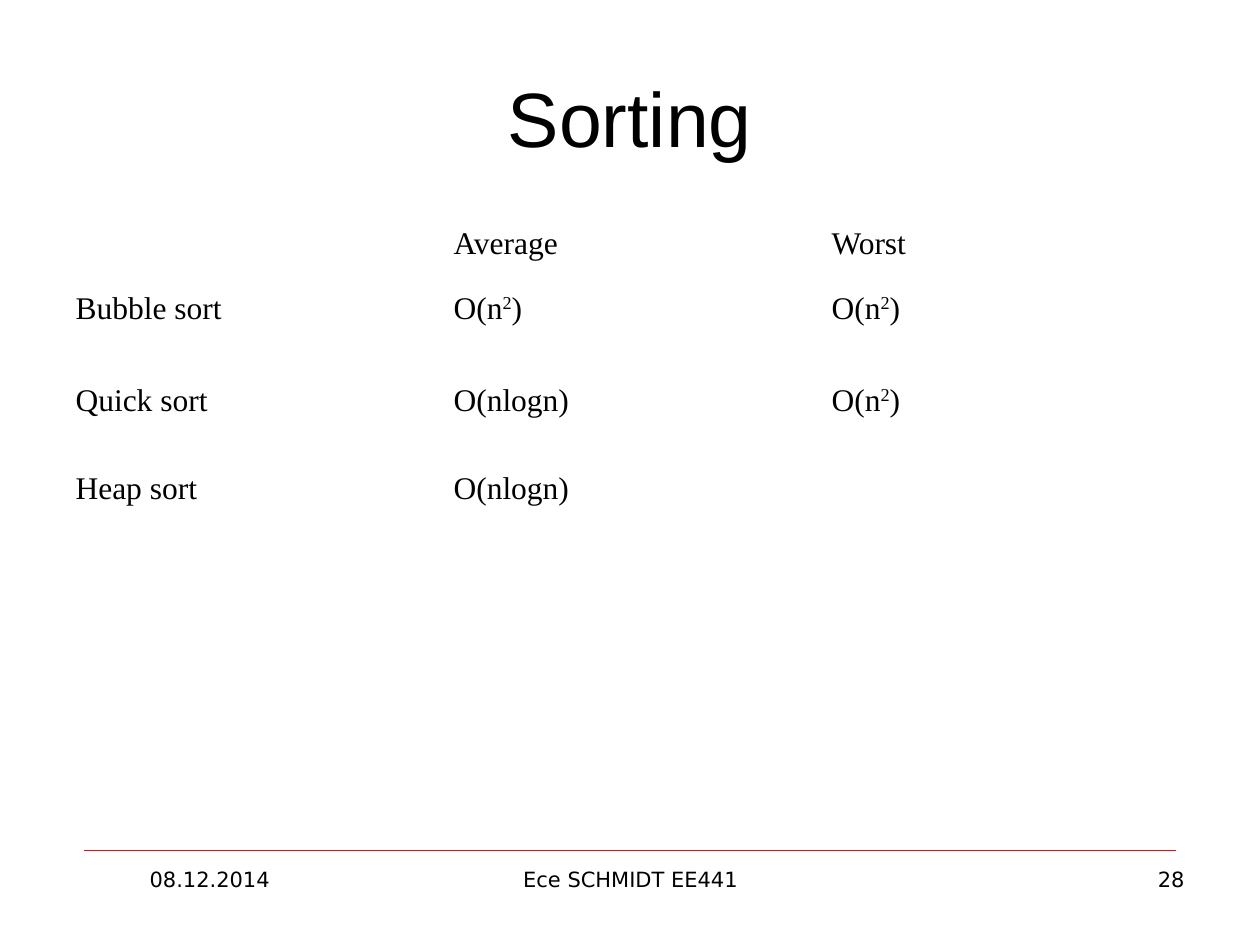
from lxml import etree
from pptx import Presentation
from pptx.dml.color import RGBColor
from pptx.enum.shapes import MSO_CONNECTOR
from pptx.enum.text import MSO_ANCHOR, PP_ALIGN
from pptx.oxml.ns import qn
from pptx.util import Inches, Pt

STRAIGHT = MSO_CONNECTOR.STRAIGHT
MIDDLE = MSO_ANCHOR.MIDDLE
CENTER, RIGHT = PP_ALIGN.CENTER, PP_ALIGN.RIGHT

TITLE = "Sorting"
# "^" stands before and after a superscript
COMPLEXITIES = [
    ("", "Average", "Worst"),
    ("Bubble sort", "O(n^2^)", "O(n^2^)"),
    ("Quick sort", "O(nlogn)", "O(n^2^)"),
    ("Heap sort", "O(nlogn)", ""),
]
ROW_HEIGHTS = [0.51, 0.73, 0.7, 0.63]
# text, left, width, alignment
FOOTERS = [
    ("08.12.2014", 0.5, 2.33, CENTER),
    ("Ece SCHMIDT EE441", 3.42, 3.17, CENTER),
    ("28", 7.17, 2.33, RIGHT),
]

COLORS = {"text": "000000", "rule": "FF0000"}
FORMATS = {
    "title": {"size": Pt(44), "name": "Arial"},
    "table": {"size": Pt(18), "name": "Times New Roman"},
    "footer": {"size": Pt(12), "name": "DejaVu Sans"},
}
WIDTH, HEIGHT, MARGIN = 10, 7.5, 0.5
CONTENT_WIDTH = WIDTH - 2 * MARGIN
TABLE_TOP, RULE_TOP, FOOTER_TOP = 1.75, 6.75, 6.83
RULE_INSET = WIDTH / 15


def write(frame, text, style, align=None):
    """Fill a text frame with one formatted paragraph."""
    para = frame.paragraphs[0]
    para.alignment = align
    for index, part in enumerate(text.split("^")):
        if not part:
            continue
        span = para.add_run()
        span.text = part
        for key, value in FORMATS[style].items():
            setattr(span.font, key, value)
        span.font.color.rgb = RGBColor.from_string(COLORS["text"])
        if index % 2:
            span.font._element.set("baseline", "30000")


def add_title(page):
    """Place and format the title placeholder."""
    title = page.shapes.title
    title.left, title.top = Inches(MARGIN), Inches(0.3)
    title.width, title.height = Inches(CONTENT_WIDTH), Inches(1.25)
    title.text_frame.vertical_anchor = MIDDLE
    write(title.text_frame, TITLE, "title", CENTER)


def add_complexity_table(page):
    """Add the plain table of running times."""
    table = page.shapes.add_table(
        len(COMPLEXITIES), len(COMPLEXITIES[0]), Inches(MARGIN), Inches(TABLE_TOP),
        Inches(CONTENT_WIDTH), Inches(sum(ROW_HEIGHTS))).table
    table.first_row = table.horz_banding = False
    for row, height, texts in zip(table.rows, ROW_HEIGHTS, COMPLEXITIES):
        row.height = Inches(height)
        for cell, text in zip(row.cells, texts):
            cell.fill.background()
            write(cell.text_frame, text, "table")


def add_footer(page):
    """Add the red rule and the texts below it."""
    rule = page.shapes.add_connector(
        STRAIGHT, Inches(RULE_INSET), Inches(RULE_TOP),
        Inches(WIDTH - RULE_INSET), Inches(RULE_TOP))
    rule.line.color.rgb = RGBColor.from_string(COLORS["rule"])
    rule.line.width = Pt(0.25)
    etree.SubElement(rule._element.spPr, qn("a:effectLst"))
    for text, left, width, align in FOOTERS:
        box = page.shapes.add_textbox(
            Inches(left), Inches(FOOTER_TOP), Inches(width), Inches(0.5))
        box.text_frame.word_wrap = True
        write(box.text_frame, text, "footer", align)


deck = Presentation()
deck.slide_width, deck.slide_height = Inches(WIDTH), Inches(HEIGHT)
page = deck.slides.add_slide(deck.slide_layouts.get_by_name("Title Only"))
add_title(page)
add_complexity_table(page)
add_footer(page)
deck.save("out.pptx")
